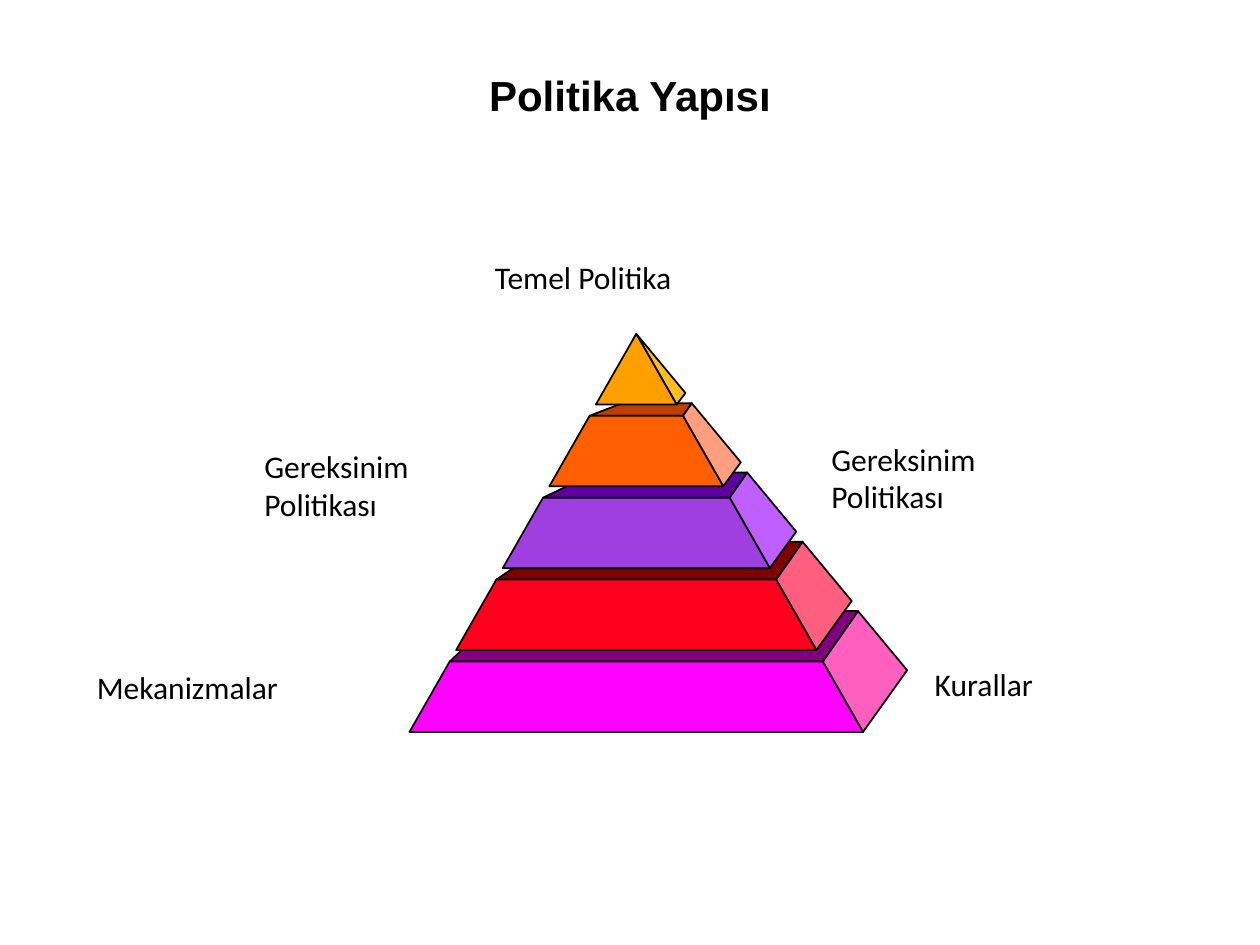
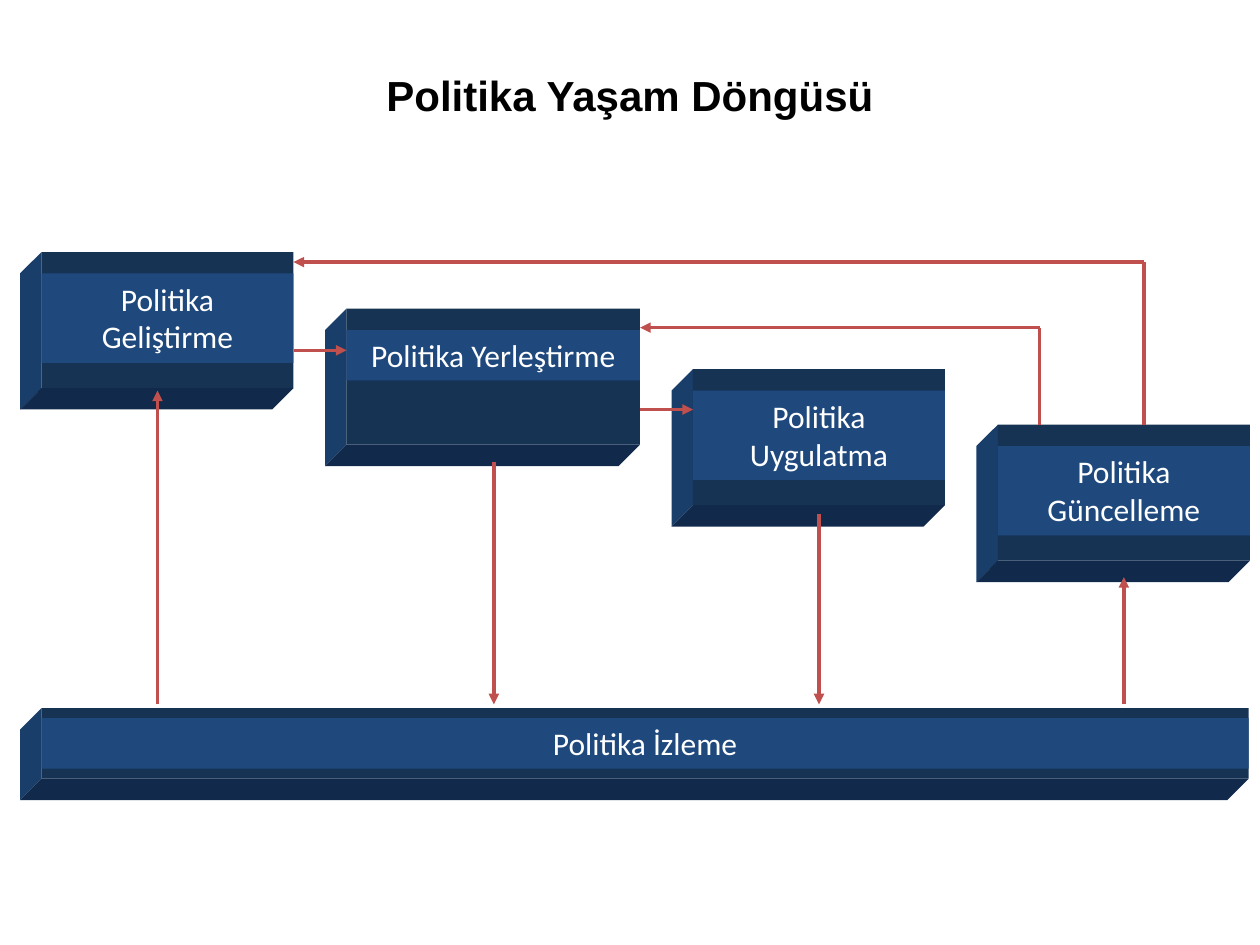
import pptx
import pptx.util
import pptx.dml.color
import pptx.enum.shapes
import pptx.enum.text
from lxml import etree

Inches = pptx.util.Inches
Pt = pptx.util.Pt
ALIGN = pptx.enum.text.PP_ALIGN
ANCHOR = pptx.enum.text.MSO_ANCHOR

COLORS = {
    "text": "000000", "label": "FFFFFF", "arrow": "C0504D",
    "block": "1F497D", "block_back": "163354",
    "block_side": "1A3E6A", "block_base": "11294A",
}
DEPTH = 0.17  # how far a block reaches to the left and down

# Tiers from the tip down: front, side and top colours, left end of the top's back edge
TIERS = [
    ("FF9F00", "FFBF1F", None, None),
    ("FF5F00", "FF9F7F", "BF3F00", 4.94),
    ("9F3FDF", "BF5FFF", "5F009F", 4.73),
    ("FF001F", "FF5F7F", "800000", 4.38),
    ("FF00FF", "FF5FBF", "800080", 3.99),
]
TIER_LABELS = [
    (3.83, 2, 1.62, ["Temel Politika"]),
    (2, 3.5, 1.36, ["Gereksinim", "Politikası"]),
    (0.67, 5.25, 1.66, ["Mekanizmalar"]),
    (7.32, 5.23, 0.99, ["Kurallar"]),
    (6.5, 3.44, 1.36, ["Gereksinim", "Politikası"]),
]

# Blocks: left, top, width, height, label offset, label height, text
BLOCKS = [
    (0.33, 2, 2, 1.08, 0.17, 0.71, "Politika Geliştirme"),
    (2.75, 2.45, 2.33, 1.08, 0.17, 0.4, "Politika Yerleştirme"),
    (5.5, 2.93, 2, 1.08, 0.17, 0.71, "Politika Uygulatma"),
    (7.92, 3.37, 2, 1.08, 0.17, 0.71, "Politika Güncelleme"),
    (0.33, 5.62, 9.58, 0.56, 0.08, 0.4, "Politika İzleme"),
]
# Each route ends in an arrowhead
ROUTES = [
    [(1.25, 5.59), (1.25, 3.1)],
    [(8.92, 5.59), (8.92, 4.58)],
    [(3.92, 3.67), (3.92, 5.59)],
    [(6.5, 4.08), (6.5, 5.59)],
    [(2.33, 2.78), (2.75, 2.78)],
    [(5.08, 3.25), (5.5, 3.25)],
    [(8.25, 3.37), (8.25, 2.6), (5.08, 2.6)],
    [(9.08, 3.37), (9.08, 2.08), (2.33, 2.08)],
]


def rgb(color):
    return pptx.dml.color.RGBColor.from_string(color)


def write(tf, lines, size=18, font="Calibri", color="text", bold=False, align=ALIGN.LEFT):
    for i, line in enumerate(lines):
        p = tf.paragraphs[0] if i == 0 else tf.add_paragraph()
        p.alignment = align
        r = p.add_run()
        r.text = line
        r.font.size, r.font.name, r.font.bold = Pt(size), font, bold
        r.font.color.rgb = rgb(COLORS[color])


def add_text(s, x, y, w, h, lines, wrap=False, anchor=ANCHOR.TOP, **style):
    tf = s.shapes.add_textbox(Inches(x), Inches(y), Inches(w), Inches(h)).text_frame
    tf.word_wrap = wrap
    tf.vertical_anchor = anchor
    write(tf, lines, **style)


def add_titled_slide(prs, title):
    s = prs.slides.add_slide(prs.slide_layouts[6])
    add_text(s, 0, 0, 10, 1, [title], wrap=True, anchor=ANCHOR.BOTTOM,
             size=24, font="Arial", bold=True, align=ALIGN.CENTER)
    return s


def paint(sp, fill, outline=None):
    sp.shadow.inherit = False
    sp.fill.solid()
    sp.fill.fore_color.rgb = rgb(fill)
    if outline:
        sp.line.color.rgb = rgb(outline)
        sp.line.width = Pt(1)
    else:
        sp.line.fill.background()


def add_face(s, points, fill, outline=None):
    start, *rest = [(Inches(x), Inches(y)) for x, y in points]
    builder = s.shapes.build_freeform(*start)
    builder.add_line_segments(rest, close=True)
    paint(builder.convert_to_shape(), fill, outline)


def add_rect(s, x, y, w, h, fill):
    sp = s.shapes.add_shape(pptx.enum.shapes.MSO_SHAPE.RECTANGLE,
                            Inches(x), Inches(y), Inches(w), Inches(h))
    paint(sp, fill)
    return sp


def add_tier(s, n, front, side, top, back_left):
    """Draw the n-th tier below the tip; every tier is wider by one step."""
    center, inset, step = 5.05, 0.32, 0.37
    half_top = n * step
    y_top = 2.65 + 0.65 * n
    y_bottom = y_top + 0.56
    top_left, top_right = (center - half_top, y_top), (center + half_top, y_top)
    bottom_left = (center - half_top - inset, y_bottom)
    bottom_right = (center + half_top + inset, y_bottom)
    back_top = (center + 0.44 * n, 2.65 + 0.55 * n)
    back_bottom = (5.44 + 0.44 * n, 3.12 + 0.55 * n)

    edge = COLORS["text"]
    add_face(s, [bottom_right, top_right, back_top, back_bottom], side, edge)
    if top:
        add_face(s, [top_left, top_right, back_top, (back_left, back_top[1])], top, edge)
    add_face(s, [top_left, top_right, bottom_right, bottom_left], front, edge)


def add_block(s, x, y, w, h, label_dy, label_h, text):
    left, right, bottom, low = x - DEPTH, x + w, y + h, y + h + DEPTH
    add_face(s, [(x, y), (left, y + DEPTH), (left, low), (x, bottom)], COLORS["block_side"])
    add_face(s, [(x, bottom), (right, bottom), (right - DEPTH, low), (left, low)],
             COLORS["block_base"])
    add_rect(s, x, y, w, h, COLORS["block_back"])
    tf = add_rect(s, x, y + label_dy, w, label_h, COLORS["block"]).text_frame
    tf.word_wrap = True
    tf.vertical_anchor = ANCHOR.TOP
    write(tf, [text], color="label", align=ALIGN.CENTER)


def add_line(s, start, end, arrow):
    c = s.shapes.add_connector(pptx.enum.shapes.MSO_CONNECTOR.STRAIGHT,
                               *[Inches(v) for v in (*start, *end)])
    c.line.color.rgb = rgb(COLORS["arrow"])
    c.line.width = Pt(2)
    if arrow:
        ln = c.line._get_or_add_ln()
        etree.SubElement(ln, pptx.oxml.ns.qn("a:tailEnd"), type="triangle")
    etree.SubElement(c._element.spPr, pptx.oxml.ns.qn("a:effectLst"))


def add_route(s, points):
    for i in range(1, len(points)):
        add_line(s, points[i - 1], points[i], arrow=i == len(points) - 1)


def main():
    prs = pptx.Presentation()
    prs.slide_width, prs.slide_height = Inches(10), Inches(7.5)

    # Policy pyramid, drawn from the base up
    s = add_titled_slide(prs, "Politika Yapısı")
    for n in reversed(range(len(TIERS))):
        add_tier(s, n, *TIERS[n])
    for x, y, w, lines in TIER_LABELS:
        add_text(s, x, y, w, 0.1 + 0.3 * len(lines), lines)

    # Policy life cycle
    s = add_titled_slide(prs, "Politika Yaşam Döngüsü")
    for block in BLOCKS:
        add_block(s, *block)
    for route in ROUTES:
        add_route(s, route)

    prs.save("out.pptx")


if __name__ == "__main__":
    main()
